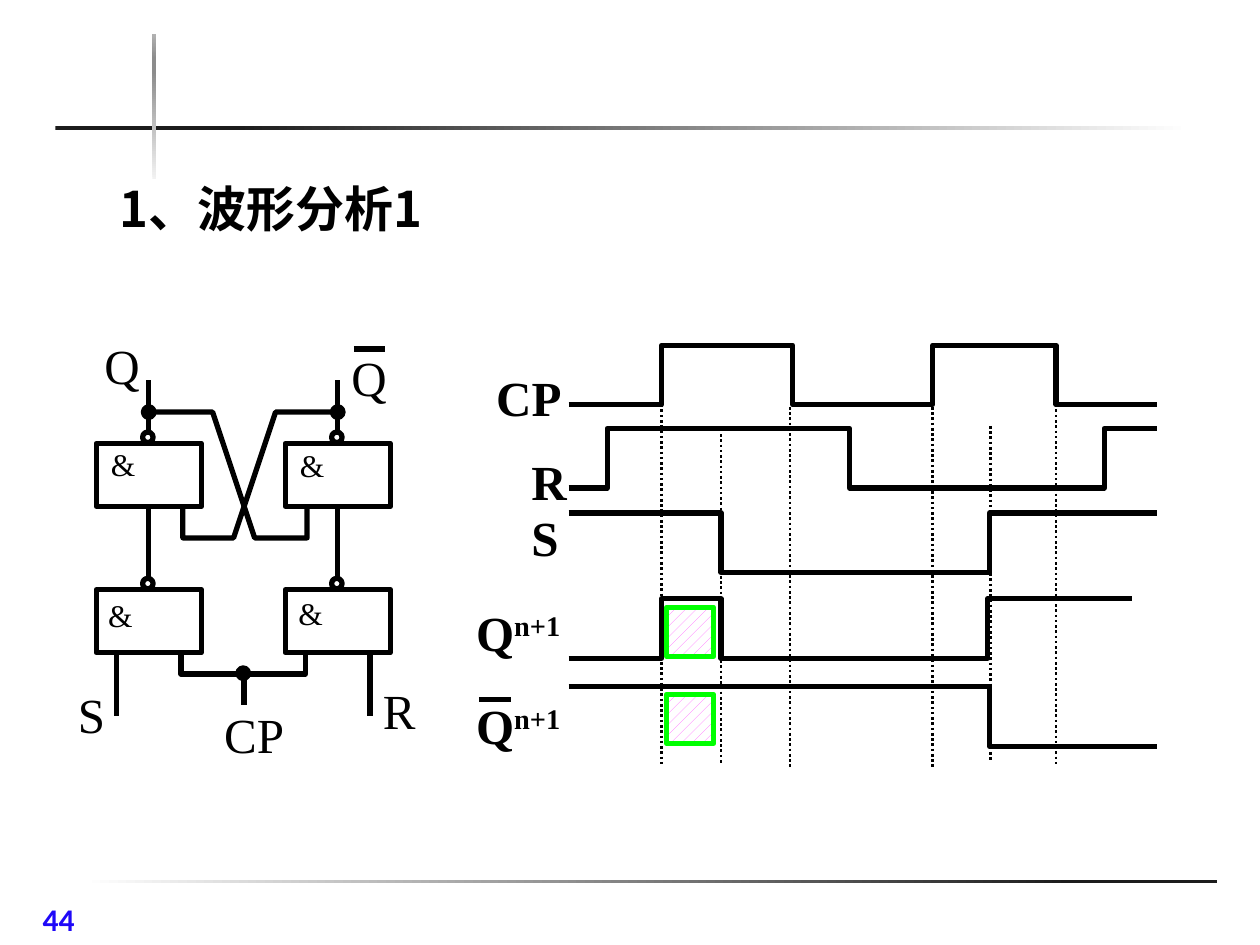
from lxml import etree
from pptx import Presentation
from pptx.dml.color import RGBColor
from pptx.enum.dml import MSO_LINE, MSO_PATTERN
from pptx.enum.shapes import MSO_CONNECTOR, MSO_SHAPE
from pptx.enum.text import MSO_ANCHOR, PP_ALIGN
from pptx.oxml.ns import qn
from pptx.util import Pt

RECT, OVAL = MSO_SHAPE.RECTANGLE, MSO_SHAPE.OVAL
STRAIGHT, DOTS = MSO_CONNECTOR.STRAIGHT, MSO_LINE.ROUND_DOT
PERCENT_20 = MSO_PATTERN.PERCENT_20
BOTTOM, TOP, LEFT = MSO_ANCHOR.BOTTOM, MSO_ANCHOR.TOP, PP_ALIGN.LEFT

THEME = dict(
    ink="000000", paper="FFFFFF", number="1F08F8", hatch="FF66FF", frame="00FF00",
    serif="Times New Roman", sans="Calibri", cjk="Noto Sans CJK SC",
    big=28, small=18, stroke=3, thin=1.5,
)

TITLE = ("1、波形分析1", (61.2, 100.8, 223.2, 38.2))
NUMBER = ("44", (17.3, 510.5, 71.3, 26.6))
BARS = [
    ((47.5, 502.6, 648, 2.2), 0, [(0, "FFFFFF"), (87, "1C1C1C")]),
    ((31.7, 72, 648, 2.2), 0, [(16, "1C1C1C"), (100, "FFFFFF")]),
    ((87.1, 19.4, 2.2, 82.8), 90,
     [(0, "F2F2F2"), (74, "8C8C8C"), (83, "8C8C8C"), (100, "B2B2B2")]),
]

WAVE_LEFT, WAVE_RIGHT = 325, 661
SWING = 34
WAVES = [
    dict(top=197.3, high=False, edges=[378, 453, 533, 603.5]),
    dict(top=244.8, high=False, edges=[347, 485.5, 631]),
    dict(top=293.2, high=True, edges=[412, 565.5]),
    dict(top=342.2, high=False, edges=[378, 412, 564.5], right=647),
    dict(top=392.4, high=True, edges=[565.5]),
]
WAVE_LABELS = [
    ("CP", "", 276.5, 206.6, 75), ("R", "", 296.6, 254.2, 46), ("S", "", 296.6, 286.6, 46),
    ("Q", "n+1", 265, 340.6, 95), ("Q", "n+1", 265, 393.8, 98),
]
GUIDES = [(378, 231), (451.4, 232.5), (532.8, 232.5), (603.5, 231), (412, 245), (565.9, 243.4)]
GUIDE_LENGTHS = [206, 206, 206, 206, 191.5, 191.5]
UNKNOWN_TOPS = [347, 396.7]

GATE_W, GATE_H = 60, 36
GATE_CENTERS = [85, 193]
GATE_TOPS = [253.4, 337]
PIN = 18.5
CENTER = 139.5
FEEDBACK_Y, RETURN_Y, CLOCK_Y = 235.5, 307.4, 385.2
OUTPUT_TOP = 217.4
DOT = 6
LATCH_LABELS = [
    ("Q", 52.6, 187.9, 48, "big"), ("Q", 193.7, 195.1, 36, "big"),
    ("S", 37.4, 387.4, 31, "big"), ("R", 211.7, 385.2, 32, "big"),
    ("CP", 121, 398.9, 49, "big"),
    ("&", 56.2, 250.6, 29, "small"), ("&", 164.2, 251.5, 29, "small"),
    ("&", 54.7, 337, 29, "small"), ("&", 163.4, 335.7, 29, "small"),
]
NEGATION_BARS = [(202.3, 220.3, 199.4), (273.6, 292.3, 399.6)]


def color(name):
    return RGBColor.from_string(THEME.get(name, name))


def write(tf, text, font="serif", size="big", tint="ink", bold=False, sup="", anchor=TOP):
    tf.word_wrap = True
    tf.vertical_anchor = anchor
    p = tf.paragraphs[0]
    p.alignment = LEFT
    p.space_before = Pt(0)
    for part, raised in ((text, False), (sup, True)):
        if not part:
            continue
        r = p.add_run()
        r.text = part
        r.font.name = THEME[font]
        r.font.size = Pt(THEME[size])
        r.font.bold = bold
        r.font.color.rgb = color(tint)
        rpr = r._r.get_or_add_rPr()
        etree.SubElement(rpr, qn("a:ea")).set("typeface", THEME[font])
        if raised:
            rpr.set("baseline", "30000")


def place(s, box):
    s.left, s.top, s.width, s.height = map(Pt, box)


def label(slide, box, text, **fmt):
    write(slide.shapes.add_textbox(*map(Pt, box)).text_frame, text, **fmt)


def stroke(s, width="stroke", tint="ink"):
    s.line.color.rgb = color(tint)
    s.line.width = Pt(THEME[width])


def block(slide, kind, box, fill=None, tint="ink"):
    s = slide.shapes.add_shape(kind, *map(Pt, box))
    s.shadow.inherit = False
    stroke(s, tint=tint)
    if fill:
        s.fill.solid()
        s.fill.fore_color.rgb = color(fill)
    else:
        s.fill.background()
    return s


def dot(slide, x, y, fill=None):
    block(slide, OVAL, (x - DOT / 2, y - DOT / 2, DOT, DOT), fill)


def wire(slide, x1, y1, x2, y2, width="stroke", dash=None):
    s = slide.shapes.add_connector(STRAIGHT, Pt(x1), Pt(y1), Pt(x2), Pt(y2))
    stroke(s, width)
    if dash:
        s.line.dash_style = dash
    etree.SubElement(s._element.spPr, qn("a:effectLst"))
    return s


def polyline(slide, points):
    points = [(Pt(x), Pt(y)) for x, y in points]
    builder = slide.shapes.build_freeform(*points[0])
    builder.add_line_segments(points[1:], close=False)
    s = builder.convert_to_shape()
    s.shadow.inherit = False
    s.fill.background()
    stroke(s)


def gradient_bar(slide, box, angle, stops):
    s = block(slide, RECT, box)
    s.line.fill.background()
    s.fill.gradient()
    s.fill.gradient_angle = angle
    stop_list = s._element.spPr.find(".//" + qn("a:gsLst"))
    for old in list(stop_list):
        stop_list.remove(old)
    for position, tint in stops:
        stop = etree.SubElement(stop_list, qn("a:gs"), pos=str(position * 1000))
        etree.SubElement(stop, qn("a:srgbClr"), val=tint)


def draw_wave(slide, top, high, edges, right=WAVE_RIGHT):
    level = top if high else top + SWING
    points = [(WAVE_LEFT, level)]
    for x in edges:
        points.append((x, level))
        level = 2 * top + SWING - level
        points.append((x, level))
    polyline(slide, points + [(right, level)])


def draw_timing(slide):
    for (x, y), length in zip(GUIDES, GUIDE_LENGTHS):
        wire(slide, x, y, x, y + length, width="thin", dash=DOTS)
    for wave in WAVES:
        draw_wave(slide, **wave)
    for text, sup, x, y, w in WAVE_LABELS:
        label(slide, (x, y, w, 41), text, bold=True, sup=sup)
    for y in UNKNOWN_TOPS:
        s = block(slide, RECT, (380.9, y, 26.9, 28.1), tint="frame")
        s.fill.patterned()
        s.fill.pattern = PERCENT_20
        s.fill.fore_color.rgb = color("hatch")
        s.fill.back_color.rgb = color("paper")


def draw_latch(slide):
    upper, lower = GATE_TOPS
    upper_end, lower_end = upper + GATE_H, lower + GATE_H
    for x, side in zip(GATE_CENTERS, (1, -1)):
        gates = [block(slide, RECT, (x - GATE_W / 2, y, GATE_W, GATE_H)) for y in GATE_TOPS]
        for y in GATE_TOPS:
            dot(slide, x - 0.5, y - 3.5)
        dot(slide, x, FEEDBACK_Y, fill="ink")
        wire(slide, x, OUTPUT_TOP, x, upper - 6.5)
        link = wire(slide, x, upper_end, x, lower - 6.5)
        link.begin_connect(gates[0], 2)
        inner, outer = x + side * PIN, x - side * PIN
        far_pin = 2 * CENTER - inner
        polyline(slide, [(x, FEEDBACK_Y), (CENTER - side * 18, FEEDBACK_Y),
                         (CENTER + side * 6, RETURN_Y), (far_pin, RETURN_Y),
                         (far_pin, upper_end)])
        polyline(slide, [(inner, lower_end), (inner, CLOCK_Y), (CENTER, CLOCK_Y)])
        wire(slide, outer, lower_end, outer, 409)
    dot(slide, CENTER - 0.5, CLOCK_Y - 0.5, fill="ink")
    wire(slide, CENTER, CLOCK_Y, CENTER, 403)
    for text, x, y, w, size in LATCH_LABELS:
        label(slide, (x, y, w, THEME[size] + 12), text, size=size)


def main():
    prs = Presentation()
    prs.slide_width, prs.slide_height = Pt(720), Pt(540)
    slide = prs.slides.add_slide(prs.slide_layouts[5])
    for bar in BARS:
        gradient_bar(slide, *bar)
    text, box = TITLE
    place(slide.shapes.title, box)
    write(slide.shapes.title.text_frame, text, font="cjk", bold=True, anchor=BOTTOM)
    text, box = NUMBER
    label(slide, box, text, font="sans", size="small", tint="number", bold=True)
    draw_timing(slide)
    draw_latch(slide)
    for x1, x2, y in NEGATION_BARS:
        wire(slide, x1, y, x2, y)
    prs.save("out.pptx")


if __name__ == "__main__":
    main()
